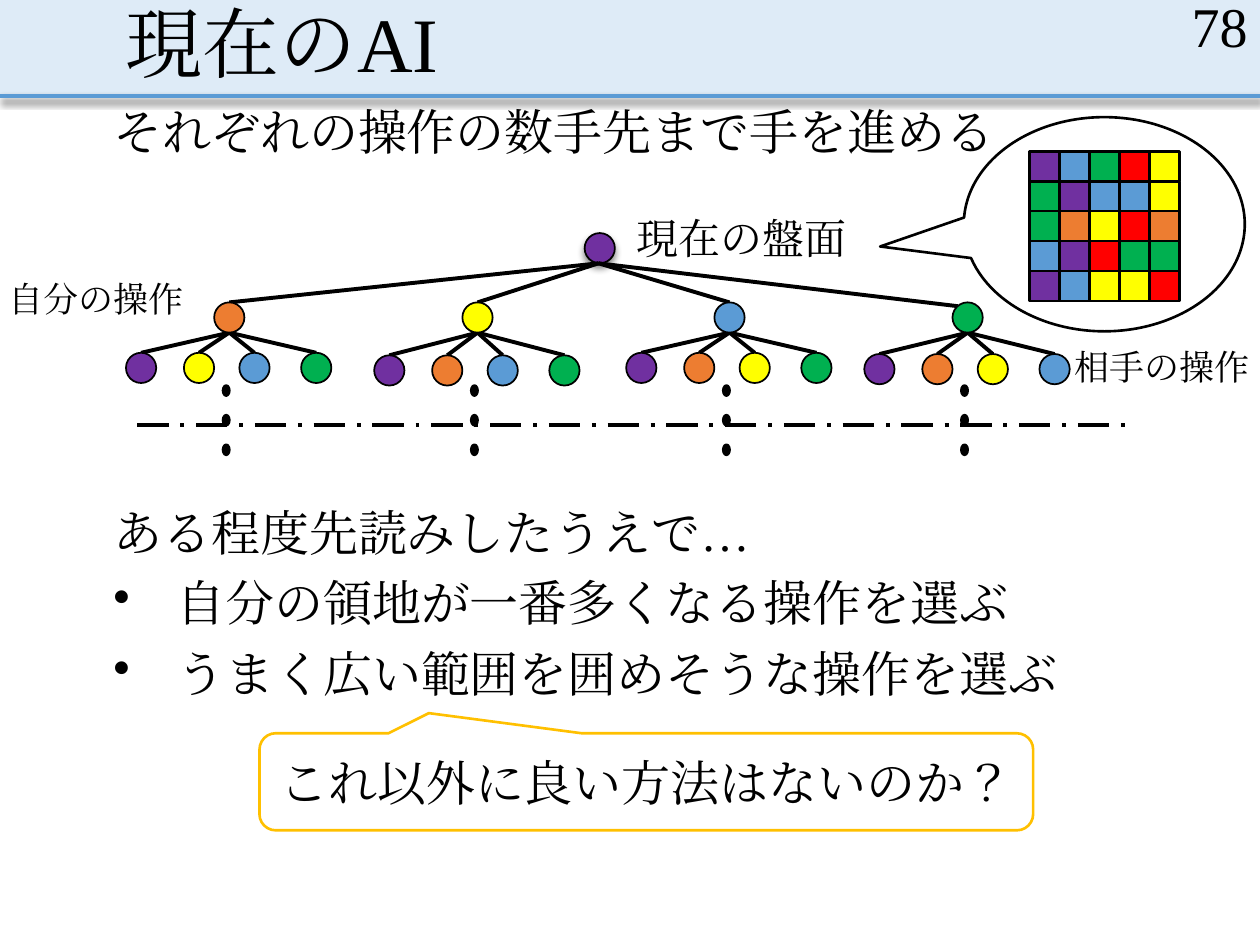
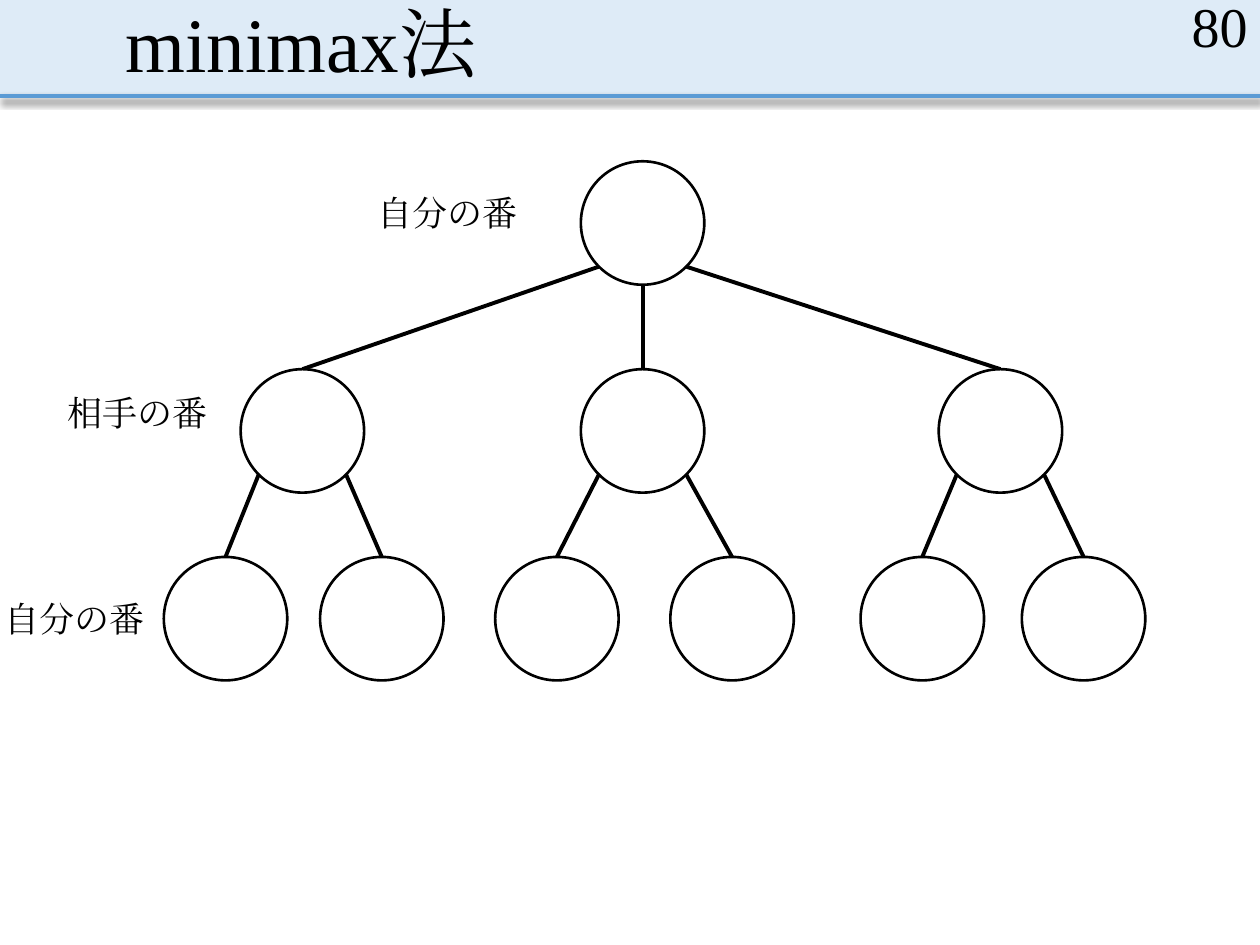
from math import sqrt
from typing import NamedTuple

from lxml.etree import SubElement
from pptx import Presentation
from pptx.dml.color import RGBColor
from pptx.enum.dml import MSO_LINE
from pptx.enum.lang import MSO_LANGUAGE_ID
from pptx.enum.shapes import MSO_CONNECTOR, MSO_SHAPE
from pptx.enum.text import MSO_ANCHOR, PP_ALIGN
from pptx.oxml.ns import qn
from pptx.util import Inches, Pt

FONT = "Times New Roman"
BLACK, WHITE = "000000", "FFFFFF"
BAND_FILL, BAND_EDGE, GOLD = "DEEBF7", "5B9BD5", "FFC000"
PURPLE, ORANGE, YELLOW, BLUE, GREEN, RED = (
    "7030A0", "ED7D31", "FFFF00", "5B9BD5", "00B050", "FF0000")
BAND_HEIGHT = 0.76

MOVE_COLOURS = [PURPLE, ORANGE, YELLOW, BLUE, GREEN]
MOVE_SIZE = 0.24
LEAF_OFFSETS = [-0.7, -0.24, 0.2, 0.69]
BRANCH_TOP = 2.4

BOARD_LEFT, BOARD_TOP, BOARD_WIDTH = 8.17, 1.2, 1.19
BOARD_COLOURS = {"P": PURPLE, "O": ORANGE, "Y": YELLOW,
                 "B": BLUE, "G": GREEN, "R": RED}
BOARD_ROWS = ["PBGRY", "GPBBY", "GOYRO", "BPRGG", "PBYYR"]

TURN_SIZE = 0.98
TURN_RADIUS = TURN_SIZE / 2


class Point(NamedTuple):
    x: float
    y: float


class Box(NamedTuple):
    left: float
    top: float
    width: float
    height: float


class Branch(NamedTuple):
    colour: str
    center: float
    leaf_top: float
    join: Point


class Label(NamedTuple):
    text: str
    box: Box


class Turn(NamedTuple):
    center: float
    top: float
    replies: tuple = ()


BRANCHES = [
    Branch(ORANGE, 1.82, 2.8, Point(1.82, BRANCH_TOP)),
    Branch(YELLOW, 3.79, 2.82, Point(3.79, BRANCH_TOP)),
    Branch(BLUE, 5.79, 2.8, Point(5.79, BRANCH_TOP)),
    Branch(GREEN, 7.68, 2.81, Point(7.6, 2.43)),
]
MOVE_LABELS = [
    Label("自分の操作", Box(-0.03, 2.15, 1.64, 0.44)),
    Label("相手の操作", Box(8.43, 2.69, 1.64, 0.44)),
]
TURN_LABELS = [
    Label("自分の番", Box(2.9, 1.47, 1.36, 0.44)),
    Label("相手の番", Box(0.44, 3.06, 1.36, 0.44)),
    Label("自分の番", Box(-0.06, 4.69, 1.36, 0.44)),
]
FIRST_TURN = Turn(5.1, 1.28, (
    Turn(2.4, 2.93, (Turn(1.79, 4.42), Turn(3.03, 4.42))),
    Turn(5.1, 2.93, (Turn(4.42, 4.42), Turn(5.81, 4.42))),
    Turn(7.94, 2.93, (Turn(7.32, 4.42), Turn(8.6, 4.42))),
))


def rgb(colour: str) -> RGBColor:
    return RGBColor.from_string(colour)


def fill_shadow(effects) -> None:
    shadow = SubElement(effects, qn("a:outerShdw"), blurRad=str(Pt(4)),
                        dist=str(Pt(2.5)), dir="5400000", algn="t",
                        rotWithShape="0")
    tint = SubElement(shadow, qn("a:srgbClr"), val=BLACK)
    SubElement(tint, qn("a:alpha"), val="47000")


def draw_shape(slide, kind, box: Box, fill: str, edge: str | None = BLACK,
               weight: float = 1.5, adjust: tuple = (), shadow: bool = False):
    shape = slide.shapes.add_shape(kind, *map(Inches, box))
    for index, value in enumerate(adjust):
        shape.adjustments[index] = value
    shape.fill.solid()
    shape.fill.fore_color.rgb = rgb(fill)
    if edge:
        shape.line.color.rgb = rgb(edge)
        shape.line.width = Pt(weight)
    else:
        shape.line.fill.background()
    shape.shadow.inherit = False
    if shadow:
        fill_shadow(shape._element.spPr.find(qn("a:effectLst")))
    return shape


def draw_line(slide, start: Point, end: Point, colour: str = BLACK,
              dash=None, shadow: bool = False) -> None:
    line = slide.shapes.add_connector(
        MSO_CONNECTOR.STRAIGHT, *map(Inches, (*start, *end)))
    line.line.color.rgb = rgb(colour)
    line.line.width = Pt(2.25)
    if dash:
        line.line.dash_style = dash
    effects = SubElement(line._element.spPr, qn("a:effectLst"))
    if shadow:
        fill_shadow(effects)


def write(shape, *lines: str, size: float, align=PP_ALIGN.LEFT,
          anchor=MSO_ANCHOR.TOP, side_inset: float = 0.1, spacing: float = 1,
          before: float = 0, bullets_from: int | None = None,
          wrap: bool = True) -> None:
    frame = shape.text_frame
    frame.word_wrap = wrap
    frame.vertical_anchor = anchor
    frame.margin_left = frame.margin_right = Inches(side_inset)
    for index, text in enumerate(lines):
        paragraph = frame.add_paragraph() if index else frame.paragraphs[0]
        if bullets_from is not None and index >= bullets_from:
            properties = paragraph._p.get_or_add_pPr()
            properties.set("marL", str(Inches(0.5)))
            properties.set("indent", str(Inches(-0.5)))
            SubElement(properties, qn("a:buChar"), char="•")
        paragraph.alignment = align
        paragraph.line_spacing = spacing
        if index:
            paragraph.space_before = Pt(before)
        run = paragraph.add_run()
        run.text = text
        run.font.size = Pt(size)
        run.font.color.rgb = rgb(BLACK)
        run.font.name = FONT
        run.font.language_id = MSO_LANGUAGE_ID.JAPANESE
        SubElement(run.font._element, qn("a:ea"), typeface=FONT)


def add_text(slide, box: Box, *lines: str, **style) -> None:
    write(slide.shapes.add_textbox(*map(Inches, box)), *lines, **style)


def add_labels(slide, labels: list[Label]) -> None:
    for label in labels:
        add_text(slide, label.box, label.text, size=20)


def add_titled_slide(deck, title: str, number: int):
    slide = deck.slides.add_slide(deck.slide_layouts[6])
    draw_shape(slide, MSO_SHAPE.RECTANGLE, Box(0, 0, 10, BAND_HEIGHT),
               BAND_FILL, edge=None)
    draw_line(slide, Point(0, BAND_HEIGHT), Point(10, BAND_HEIGHT),
              BAND_EDGE, shadow=True)
    add_text(slide, Box(0.9, 0, 8.25, BAND_HEIGHT), title, size=44,
             anchor=MSO_ANCHOR.BOTTOM, spacing=0.9)
    add_text(slide, Box(7.75, 0, 2.25, 0.4), str(number), size=32,
             align=PP_ALIGN.RIGHT, anchor=MSO_ANCHOR.MIDDLE)
    return slide


def draw_move(slide, center: float, top: float, colour: str,
              shadow: bool = False) -> None:
    box = Box(center - MOVE_SIZE / 2, top, MOVE_SIZE, MOVE_SIZE)
    draw_shape(slide, MSO_SHAPE.OVAL, box, colour, weight=1, shadow=shadow)


def draw_branch(slide, branch: Branch) -> None:
    fork = Point(branch.center, BRANCH_TOP + MOVE_SIZE)
    replies = [colour for colour in MOVE_COLOURS if colour != branch.colour]
    leaves = [branch.center + offset for offset in LEAF_OFFSETS]
    for leaf in leaves:
        draw_line(slide, fork, Point(leaf, branch.leaf_top))
    draw_move(slide, branch.center, BRANCH_TOP, branch.colour)
    for leaf, colour in zip(leaves, replies):
        draw_move(slide, leaf, branch.leaf_top, colour)
    for step in range(3):
        dot = Box(branch.center - 0.05, 3.06 + step * 0.235, 0.05, 0.08)
        draw_shape(slide, MSO_SHAPE.OVAL, dot, BLACK)


def draw_board(slide) -> None:
    draw_shape(slide, MSO_SHAPE.OVAL_CALLOUT, Box(7.65, 0.93, 2.23, 1.7),
               WHITE, adjust=(-0.798, 0.104))
    cell = BOARD_WIDTH / len(BOARD_ROWS)
    for row, codes in enumerate(BOARD_ROWS):
        for column, code in enumerate(codes):
            box = Box(BOARD_LEFT + column * cell, BOARD_TOP + row * cell,
                      cell, cell)
            draw_shape(slide, MSO_SHAPE.RECTANGLE, box, BOARD_COLOURS[code])


def build_current_ai(deck) -> None:
    slide = add_titled_slide(deck, "現在のAI", 78)
    add_text(slide, Box(0.9, 0.81, 8.25, 0.61),
             "それぞれの操作の数手先まで手を進める",
             size=28, side_inset=0, spacing=0.9)
    add_text(slide, Box(0.9, 3.99, 8.61, 2.65),
             "ある程度先読みしたうえで…",
             "自分の領地が一番多くなる操作を選ぶ",
             "うまく広い範囲を囲めそうな操作を選ぶ",
             size=28, side_inset=0, spacing=0.9, before=10, bullets_from=1)
    draw_move(slide, 4.76, 1.85, PURPLE, shadow=True)
    for branch in BRANCHES:
        draw_line(slide, Point(4.75, 2.09), branch.join)
    for branch in BRANCHES:
        draw_branch(slide, branch)
    question = draw_shape(slide, MSO_SHAPE.ROUNDED_RECTANGULAR_CALLOUT,
                          Box(2.06, 5.82, 6.14, 0.77), WHITE, GOLD,
                          adjust=(-0.281, -0.708, 0.167))
    write(question, "これ以外に良い方法はないのか？", size=28,
          align=PP_ALIGN.CENTER, anchor=MSO_ANCHOR.MIDDLE)
    draw_board(slide)
    add_text(slide, Box(4.95, 1.64, 1.88, 0.5), "現在の盤面",
             size=24, wrap=False)
    add_labels(slide, MOVE_LABELS)
    draw_line(slide, Point(1.09, 3.37), Point(8.96, 3.37),
              dash=MSO_LINE.LONG_DASH_DOT)


def draw_turn(slide, turn: Turn) -> None:
    for reply in turn.replies:
        side = (reply.center > turn.center) - (reply.center < turn.center)
        reach = TURN_RADIUS / sqrt(2) if side else TURN_RADIUS
        start = Point(turn.center + side * reach,
                      turn.top + TURN_RADIUS + reach)
        draw_line(slide, start, Point(reply.center, reply.top))
        draw_turn(slide, reply)
    box = Box(turn.center - TURN_RADIUS, turn.top, TURN_SIZE, TURN_SIZE)
    draw_shape(slide, MSO_SHAPE.OVAL, box, WHITE)


def build_minimax(deck) -> None:
    slide = add_titled_slide(deck, "minimax法", 80)
    draw_turn(slide, FIRST_TURN)
    add_labels(slide, TURN_LABELS)


def main() -> None:
    deck = Presentation()
    deck.slide_width = Inches(10)
    deck.slide_height = Inches(7.5)
    build_current_ai(deck)
    build_minimax(deck)
    deck.save("out.pptx")


if __name__ == "__main__":
    main()
